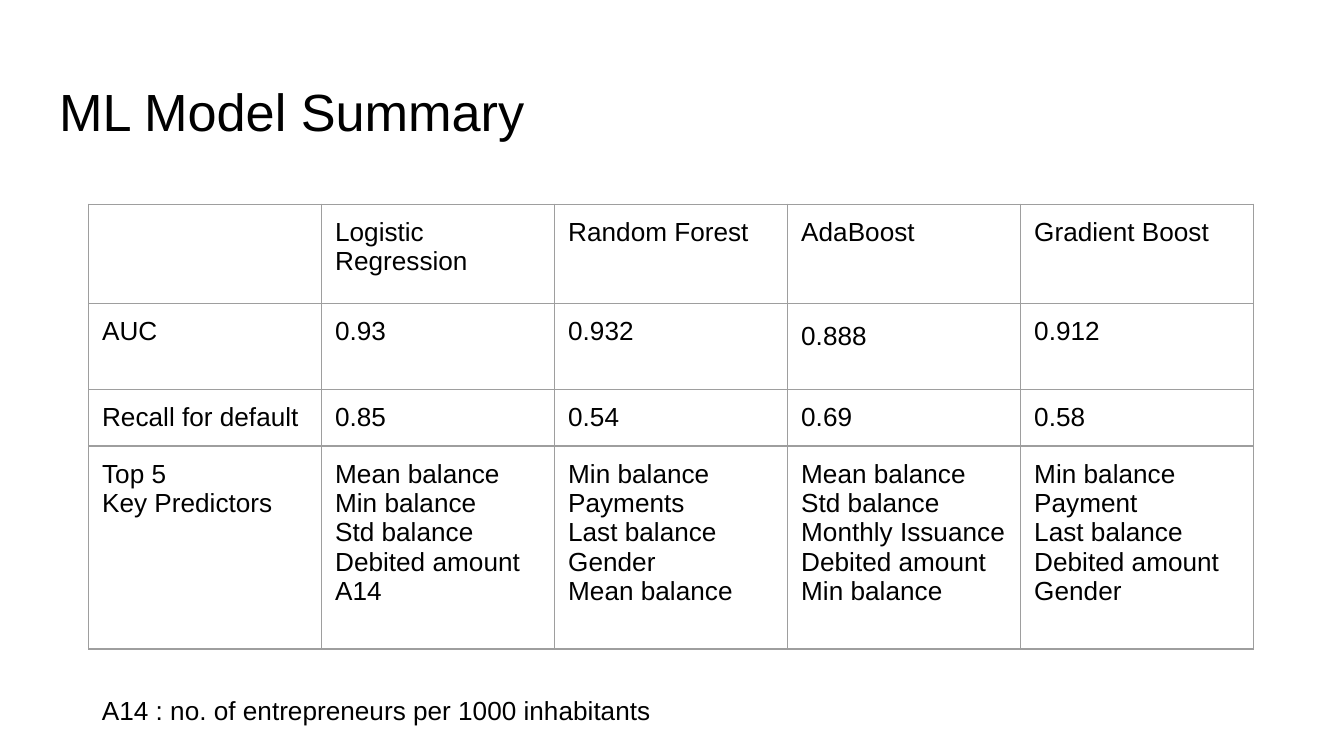
import dataclasses

import lxml.etree
import pptx
import pptx.dml.color
import pptx.enum.text
import pptx.oxml.ns
import pptx.util

Inches = pptx.util.Inches
Pt = pptx.util.Pt


@dataclasses.dataclass(frozen=True)
class Theme:
    """Colours, type and spacing shared by the whole slide."""
    font: str = "Arial"
    text: str = "000000"
    border: str = "9E9E9E"
    border_width: float = 0.75
    title_size: int = 28
    body_size: int = 14
    inset: float = 0.1
    line_spacing: float = 1.15


THEME = Theme()
ROW_HEIGHTS = (0.74, 0.64, 0.41, 1.51)
MODEL_SUMMARY = (
    ("", "Logistic Regression", "Random Forest", "AdaBoost", "Gradient Boost"),
    ("AUC", "0.93", "0.932", "0.888", "0.912"),
    ("Recall for default", "0.85", "0.54", "0.69", "0.58"),
    (
        "Top 5\nKey Predictors",
        "Mean balance\nMin balance\nStd balance\nDebited amount\nA14",
        "Min balance\nPayments\nLast balance\nGender\nMean balance",
        "Mean balance\nStd balance\nMonthly Issuance\nDebited amount\nMin balance",
        "Min balance\nPayment\nLast balance\nDebited amount\nGender",
    ),
)


def write_text(holder, text_frame, text, size):
    """Write left-aligned text; holder carries the margins and anchor."""
    holder.margin_left = holder.margin_right = Inches(THEME.inset)
    holder.margin_top = holder.margin_bottom = Inches(THEME.inset)
    holder.vertical_anchor = pptx.enum.text.MSO_ANCHOR.TOP
    text_frame.word_wrap = True
    text_frame.text = text
    for paragraph in text_frame.paragraphs:
        paragraph.alignment = pptx.enum.text.PP_ALIGN.LEFT
        paragraph.font.name = THEME.font
        paragraph.font.size = Pt(size)
        paragraph.font.color.rgb = pptx.dml.color.RGBColor.from_string(THEME.text)


def draw_borders(cell):
    """Give all four sides of a cell the theme's thin line."""
    properties = cell._tc.get_or_add_tcPr()
    for position, side in enumerate(("lnL", "lnR", "lnT", "lnB")):
        line = lxml.etree.Element(pptx.oxml.ns.qn("a:" + side))
        line.set("w", str(int(Pt(THEME.border_width))))
        fill = lxml.etree.SubElement(line, pptx.oxml.ns.qn("a:solidFill"))
        color = lxml.etree.SubElement(fill, pptx.oxml.ns.qn("a:srgbClr"))
        color.set("val", THEME.border)
        properties.insert(position, line)


def add_title(slide, left, top, width, height, text):
    """Place the slide title in its placeholder."""
    title = slide.shapes.title
    title.left, title.top = Inches(left), Inches(top)
    title.width, title.height = Inches(width), Inches(height)
    title.text_frame.auto_size = pptx.enum.text.MSO_AUTO_SIZE.NONE
    write_text(title.text_frame, title.text_frame, text, THEME.title_size)


def add_summary_table(slide, left, top, width, row_heights, rows):
    """Add the model comparison in equal columns and return the table."""
    column_count = len(rows[0])
    table = slide.shapes.add_table(
        len(rows), column_count, Inches(left), Inches(top),
        Inches(width), Inches(sum(row_heights))).table
    table.first_row = table.horz_banding = False
    for column in table.columns:
        column.width = Inches(width / column_count)
    for row, height, values in zip(table.rows, row_heights, rows):
        row.height = Inches(height)
        for cell, value in zip(row.cells, values):
            write_text(cell, cell.text_frame, value, THEME.body_size)
            cell.fill.background()
            draw_borders(cell)
    return table


def add_footnote(slide, left, top, width, height, text):
    """Add the explanatory note below the table."""
    note = slide.shapes.add_textbox(
        Inches(left), Inches(top), Inches(width), Inches(height))
    write_text(note.text_frame, note.text_frame, text, THEME.body_size)
    note.text_frame.paragraphs[0].line_spacing = THEME.line_spacing


def build_summary_slide(presentation):
    """Build the slide that compares the four models."""
    slide = presentation.slides.add_slide(presentation.slide_layouts[5])
    add_title(slide, 0.34, 0.49, 9.32, 0.63, "ML Model Summary")
    table = add_summary_table(slide, 0.66, 1.52, 8.67, ROW_HEIGHTS, MODEL_SUMMARY)
    adaboost_auc = table.cell(1, 3).text_frame.paragraphs[0]
    adaboost_auc.line_spacing = THEME.line_spacing
    adaboost_auc.space_after = Pt(16)
    add_footnote(slide, 0.66, 5.03, 4.69, 0.33,
                 "A14 : no. of entrepreneurs per 1000 inhabitants")


presentation = pptx.Presentation()
presentation.slide_width = Inches(10)
presentation.slide_height = Inches(10 * 9 / 16)
build_summary_slide(presentation)
presentation.save("out.pptx")
